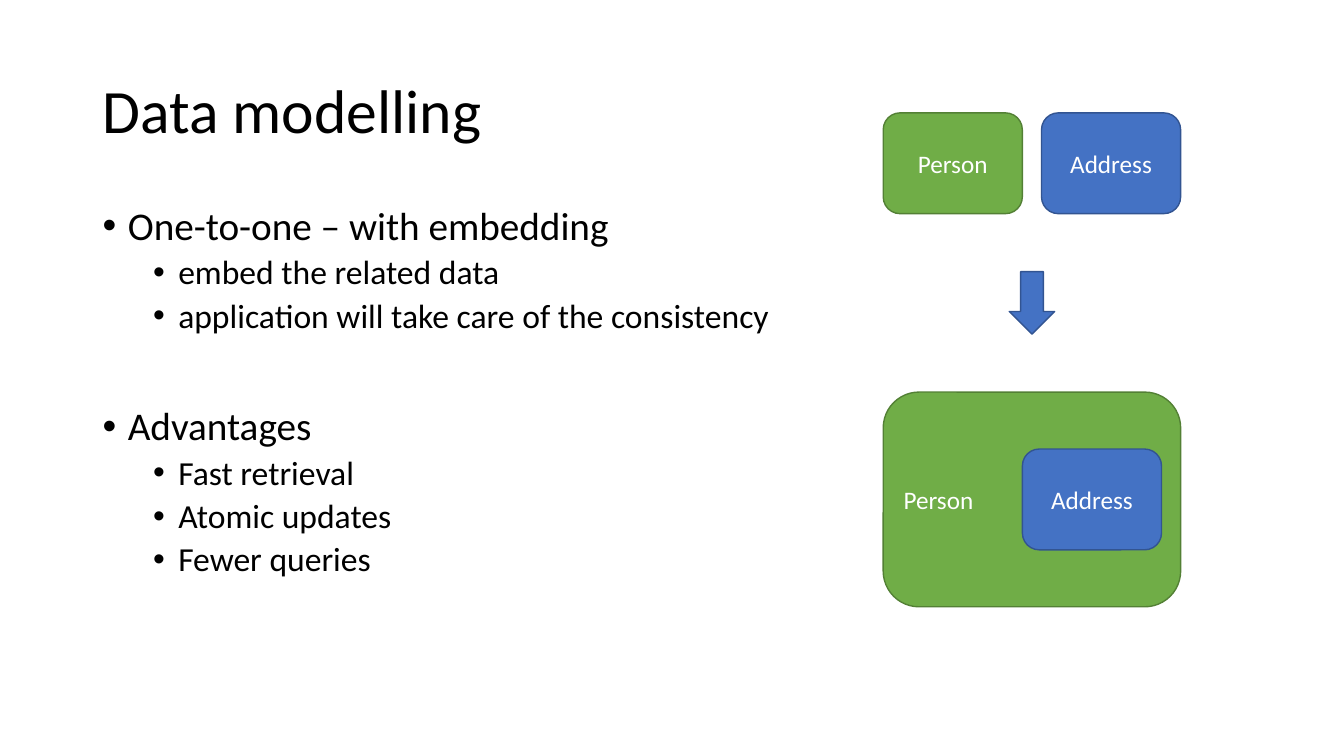
from pptx import Presentation
from pptx.dml.color import RGBColor
from pptx.enum.shapes import MSO_SHAPE
from pptx.enum.text import MSO_ANCHOR, PP_ALIGN
from pptx.util import Inches, Pt
from lxml.etree import SubElement
from pptx.oxml.ns import qn

FONT = "Calibri"
PERSON = ("70AD47", "538035")
ADDRESS = ("4472C4", "325491")
LEVELS = [(28, 10, 0.25), (24, 5, 0.75)]
SECTION_GAP = 51
SECTIONS = [
    ("One-to-one – with embedding",
     ["embed the related data", "application will take care of the consistency"]),
    ("Advantages", ["Fast retrieval", "Atomic updates", "Fewer queries"]),
]


def color(hex_code):
    """Turn a hex string into a colour."""
    return RGBColor.from_string(hex_code)


def add_run(paragraph, text, size, hex_code):
    """Append one formatted run."""
    run = paragraph.add_run()
    run.text = text
    run.font.size = Pt(size)
    run.font.name = FONT
    run.font.color.rgb = color(hex_code)


def add_text_frame(slide, left, top, width, height):
    """Add a wrapping text box and return its frame."""
    box = slide.shapes.add_textbox(Inches(left), Inches(top), Inches(width), Inches(height))
    box.text_frame.word_wrap = True
    return box.text_frame


def add_title(slide, text, left, top, width, height):
    """Place the heading in the given box."""
    heading = add_text_frame(slide, left, top, width, height)
    heading.vertical_anchor = MSO_ANCHOR.MIDDLE
    heading.paragraphs[0].line_spacing = 0.9
    add_run(heading.paragraphs[0], text, 44, "000000")


def add_bullet(paragraph, text, level, space_before):
    """Fill a paragraph as a bullet of the given level."""
    size, _, indent = LEVELS[level]
    paragraph.level = level
    paragraph.line_spacing = 0.9
    paragraph.space_before = Pt(space_before)
    properties = paragraph._p.get_or_add_pPr()
    properties.set("marL", str(Inches(indent)))
    properties.set("indent", str(Inches(-0.25)))
    SubElement(properties, qn("a:buFont")).set("typeface", "Arial")
    SubElement(properties, qn("a:buChar")).set("char", "•")
    add_run(paragraph, text, size, "000000")


def add_sections(slide, sections, left, top, width, height):
    """Place the bulleted sections in the given box."""
    body = add_text_frame(slide, left, top, width, height)
    for number, (topic, points) in enumerate(sections):
        paragraph = body.add_paragraph() if number else body.paragraphs[0]
        add_bullet(paragraph, topic, 0, SECTION_GAP if number else LEVELS[0][1])
        for point in points:
            add_bullet(body.add_paragraph(), point, 1, LEVELS[1][1])


def add_block(slide, preset, colors, left, top, width, height, label="",
              align=PP_ALIGN.CENTER):
    """Add a filled, outlined shape with an optional label."""
    block = slide.shapes.add_shape(
        preset, Inches(left), Inches(top), Inches(width), Inches(height))
    fill, line = colors
    block.shadow.inherit = False
    block.fill.solid()
    block.fill.fore_color.rgb = color(fill)
    block.line.color.rgb = color(line)
    block.line.width = Pt(1)
    if label:
        block.text_frame.vertical_anchor = MSO_ANCHOR.MIDDLE
        block.text_frame.paragraphs[0].alignment = align
        add_run(block.text_frame.paragraphs[0], label, 18, "FFFFFF")
    return block


def add_embedding_diagram(slide, left, top, width, height):
    """Draw two entities, an arrow, and one entity embedded in the other."""
    entity_width, entity_height = 1.38, 1
    arrow_length, arrow_width = 0.62, 0.45
    merged_height = 2.13
    right = left + width
    gap = width - 2 * entity_width
    merged_top = top + height - merged_height
    rounded = MSO_SHAPE.ROUNDED_RECTANGLE

    add_block(slide, rounded, PERSON, left, top, entity_width, entity_height, "Person")
    add_block(slide, rounded, ADDRESS, right - entity_width, top,
              entity_width, entity_height, "Address")
    add_block(slide, rounded, PERSON, left, merged_top, width, merged_height,
              "Person", PP_ALIGN.LEFT)
    add_block(slide, rounded, ADDRESS, right - gap - entity_width,
              merged_top + (merged_height - entity_height) / 2,
              entity_width, entity_height, "Address")
    arrow_middle = (top + entity_height + merged_top) / 2
    arrow = add_block(slide, MSO_SHAPE.RIGHT_ARROW, ADDRESS,
                      left + (width - arrow_length) / 2, arrow_middle - arrow_width / 2,
                      arrow_length, arrow_width)
    arrow.rotation = 90


def main():
    """Build and save the slide."""
    deck = Presentation()
    deck.slide_width, deck.slide_height = Inches(13.33), Inches(7.5)
    slide = deck.slides.add_slide(deck.slide_layouts[6])
    add_title(slide, "Data modelling", 0.92, 0.4, 11.5, 1.45)
    add_sections(slide, SECTIONS, 0.92, 2, 11.5, 4.76)
    add_embedding_diagram(slide, 8.76, 1.12, 2.95, 4.9)
    deck.save("out.pptx")


if __name__ == "__main__":
    main()
